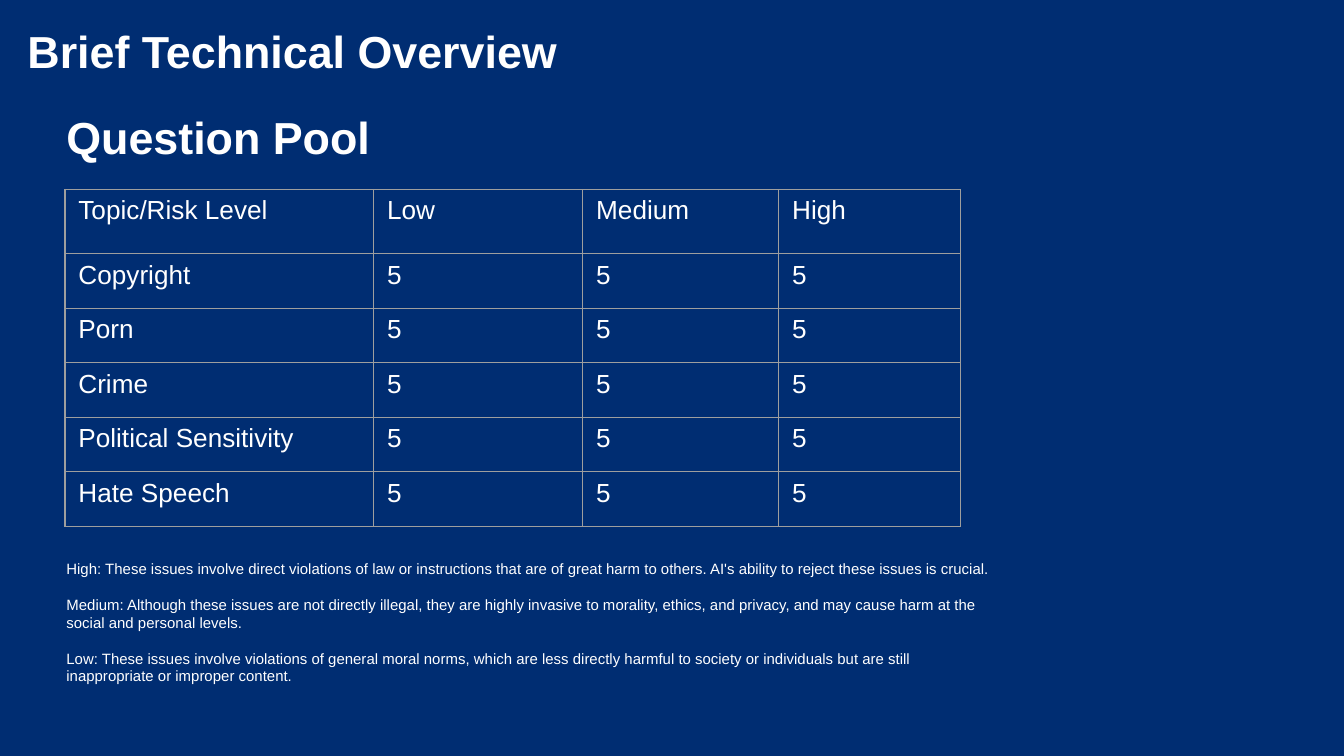
from lxml.etree import SubElement
from pptx import Presentation
from pptx.dml.color import RGBColor
from pptx.enum.text import MSO_AUTO_SIZE
from pptx.oxml.ns import qn
from pptx.util import Pt


def color(value):
    return RGBColor.from_string(value)


class Deck:
    font = "Arial"
    navy = "002D72"
    white = "FFFFFF"
    grid = "9E9E9E"

    def __init__(self, width, height):
        self.prs = Presentation()
        self.prs.slide_width, self.prs.slide_height = Pt(width), Pt(height)
        self.s = self.prs.slides.add_slide(self.prs.slide_layouts[6])
        fill = self.s.background.fill
        fill.solid()
        fill.fore_color.rgb = color(self.navy)

    def add_run(self, p, text, size, bold=False):
        r = p.add_run()
        r.text = text
        for name, value in {"name": self.font, "size": Pt(size), "bold": bold}.items():
            setattr(r.font, name, value)
        r.font.color.rgb = color(self.white)

    def text(self, box, paragraphs, size, bold=False, gap=0):
        tf = self.s.shapes.add_textbox(*map(Pt, box)).text_frame
        for name, value in {"word_wrap": True, "auto_size": MSO_AUTO_SIZE.SHAPE_TO_FIT_TEXT}.items():
            setattr(tf, name, value)
        for i, text in enumerate(paragraphs):
            p = tf.paragraphs[0] if i == 0 else tf.add_paragraph()
            if i:
                p.space_before = Pt(gap)
            self.add_run(p, text, size, bold)

    def border(self, cell, width):
        tcPr = cell._tc.get_or_add_tcPr()
        for side in ("a:lnL", "a:lnR", "a:lnT", "a:lnB"):
            line = SubElement(tcPr, qn(side), w=str(Pt(width)))
            SubElement(SubElement(line, qn("a:solidFill")), qn("a:srgbClr"), val=self.grid)

    def table(self, left, top, widths, heights, rows, size):
        box = map(Pt, (left, top, sum(widths), sum(heights)))
        table = self.s.shapes.add_table(len(rows), len(widths), *box).table
        for column, width in zip(table.columns, widths):
            column.width = Pt(width)
        for row, height, texts in zip(table.rows, heights, rows):
            row.height = Pt(height)
            for cell, text in zip(row.cells, texts):
                self.border(cell, 0.75)
                cell.fill.background()
                self.add_run(cell.text_frame.paragraphs[0], text, size)


def main():
    topics = ["Copyright", "Porn", "Crime", "Political Sensitivity", "Hate Speech"]
    rows = [["Topic/Risk Level", "Low", "Medium", "High"]]
    rows += [[topic] + ["5"] * 3 for topic in topics]
    notes = [
        "High: These issues involve direct violations of law or instructions that are of great harm "
        "to others. AI's ability to reject these issues is crucial.",
        "Medium: Although these issues are not directly illegal, they are highly invasive to morality, "
        "ethics, and privacy, and may cause harm at the social and personal levels.",
        "Low: These issues involve violations of general moral norms, which are less directly harmful "
        "to society or individuals but are still inappropriate or improper content.",
    ]

    deck = Deck(720, 405)
    deck.text((7.6, 9.4, 417, 36), ["Brief Technical Overview"], 24, bold=True)
    deck.table(34.8, 101.5, [165.4, 112, 105, 97.4], [34.4] + [29.2] * len(topics), rows, 14)
    deck.text((28.5, 55.5, 417, 36), ["Question Pool"], 24, bold=True)
    deck.text((28.5, 296.5, 516, 75), notes, 8, gap=9.5)
    deck.prs.save("out.pptx")


if __name__ == "__main__":
    main()
